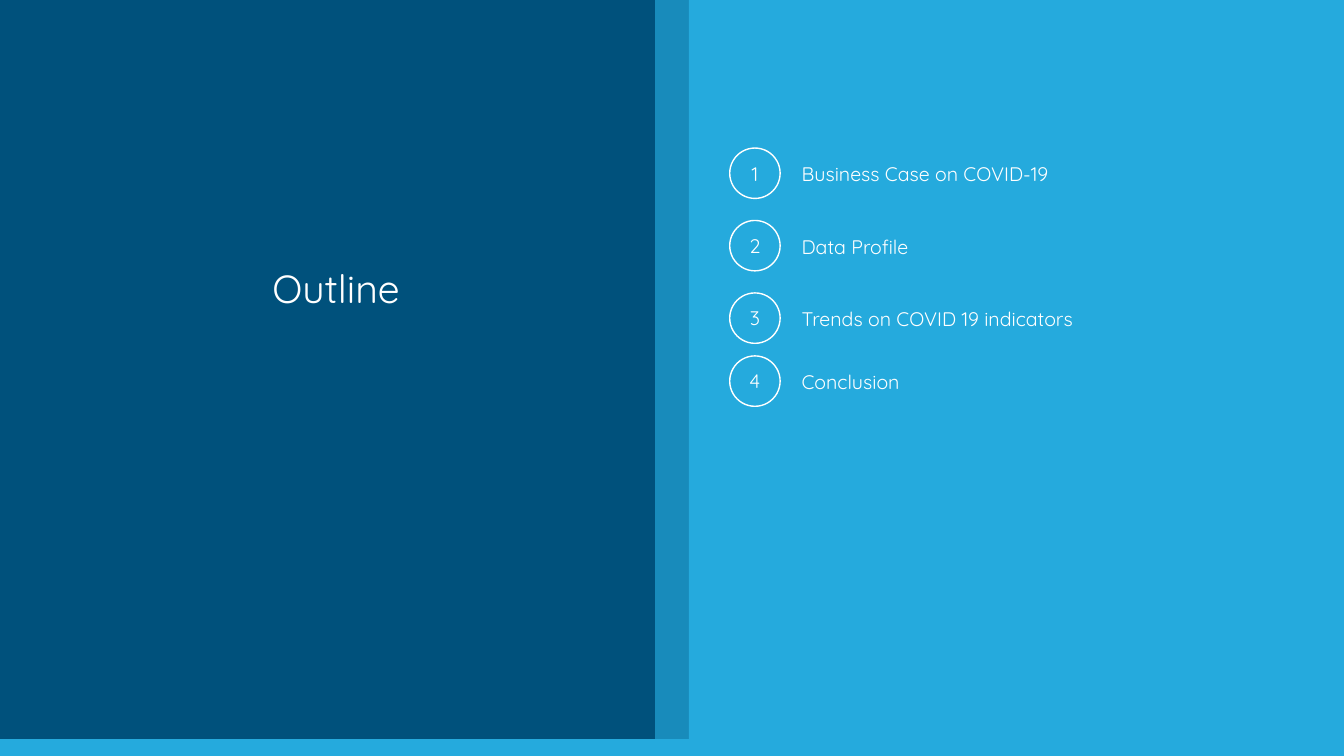
from dataclasses import dataclass

from lxml.etree import SubElement
from pptx import Presentation
from pptx.dml.color import RGBColor
from pptx.enum.shapes import MSO_SHAPE
from pptx.enum.text import MSO_ANCHOR, PP_ALIGN
from pptx.oxml.ns import qn
from pptx.shapes.autoshape import Shape
from pptx.slide import Slide
from pptx.util import Emu, Pt

EMU_PER_PX = 9525
SLIDE_WIDTH, SLIDE_HEIGHT = 1280, 720
FONT = "Quicksand"
COLORS = {"background": "00517C", "panel": "25AADD", "text": "FFFFFF"}

CIRCLE_LEFT, CIRCLE_SIZE = 695, 48
LABEL_LEFT, LABEL_HEIGHT = 754, 33


@dataclass(frozen=True)
class Band:
    left: int
    top: int
    width: int
    height: int
    opacity: int = 100


@dataclass(frozen=True)
class OutlineItem:
    topic: str
    top: int
    label_width: int


BANDS = [
    Band(0, 704, SLIDE_WIDTH, 16),
    Band(624, 0, 656, SLIDE_HEIGHT, opacity=66),
    Band(656, 0, 624, SLIDE_HEIGHT),
]

OUTLINE = [
    OutlineItem("Business Case on COVID-19", 141, 408),
    OutlineItem("Data Profile", 210, 490),
    OutlineItem("Trends on COVID 19 indicators", 279, 408),
    OutlineItem("Conclusion", 339, 490),
]


def px(length: int) -> Emu:
    return Emu(length * EMU_PER_PX)


def color(name: str) -> RGBColor:
    return RGBColor.from_string(COLORS[name])


def write(holder: Shape, text: str, size: int, align: PP_ALIGN, wrap: bool = True) -> None:
    """Put one vertically centred line of text into a shape or text box."""
    frame = holder.text_frame
    frame.text = text
    frame.word_wrap = wrap
    frame.vertical_anchor = MSO_ANCHOR.MIDDLE
    paragraph = frame.paragraphs[0]
    paragraph.alignment = align
    font = paragraph.runs[0].font
    font.name = FONT
    font.size = Pt(size)
    font.color.rgb = color("text")


def draw_band(slide: Slide, band: Band) -> None:
    panel = slide.shapes.add_shape(
        MSO_SHAPE.RECTANGLE, px(band.left), px(band.top), px(band.width), px(band.height)
    )
    panel.shadow.inherit = False
    panel.line.fill.background()
    panel.fill.solid()
    panel.fill.fore_color.rgb = color("panel")
    if band.opacity < 100:
        fill_color = panel.fill._xPr.find(qn("a:solidFill"))[0]
        SubElement(fill_color, qn("a:alpha")).set("val", str(band.opacity * 1000))


def draw_title(slide: Slide, text: str) -> None:
    title = slide.shapes.add_textbox(px(37), px(169), px(566), px(211))
    write(title, text, 28, PP_ALIGN.CENTER)


def draw_outline_item(slide: Slide, number: int, item: OutlineItem) -> None:
    group = slide.shapes.add_group_shape()
    label_top = item.top + (CIRCLE_SIZE - LABEL_HEIGHT) // 2 + 1
    label = group.shapes.add_textbox(
        px(LABEL_LEFT), px(label_top), px(item.label_width), px(LABEL_HEIGHT)
    )
    write(label, item.topic, 14, PP_ALIGN.LEFT)

    circle = group.shapes.add_shape(
        MSO_SHAPE.OVAL, px(CIRCLE_LEFT), px(item.top), px(CIRCLE_SIZE), px(CIRCLE_SIZE)
    )
    circle.shadow.inherit = False
    circle.fill.background()
    circle.line.color.rgb = color("text")
    circle.line.width = Pt(1)
    write(circle, str(number), 14, PP_ALIGN.CENTER, wrap=False)


def main() -> None:
    presentation = Presentation()
    presentation.slide_width = px(SLIDE_WIDTH)
    presentation.slide_height = px(SLIDE_HEIGHT)
    slide = presentation.slides.add_slide(presentation.slide_layouts[6])
    slide.background.fill.solid()
    slide.background.fill.fore_color.rgb = color("background")

    for band in BANDS:
        draw_band(slide, band)
    draw_title(slide, "Outline")
    for number, item in enumerate(OUTLINE, start=1):
        draw_outline_item(slide, number, item)

    presentation.save("out.pptx")


if __name__ == "__main__":
    main()
